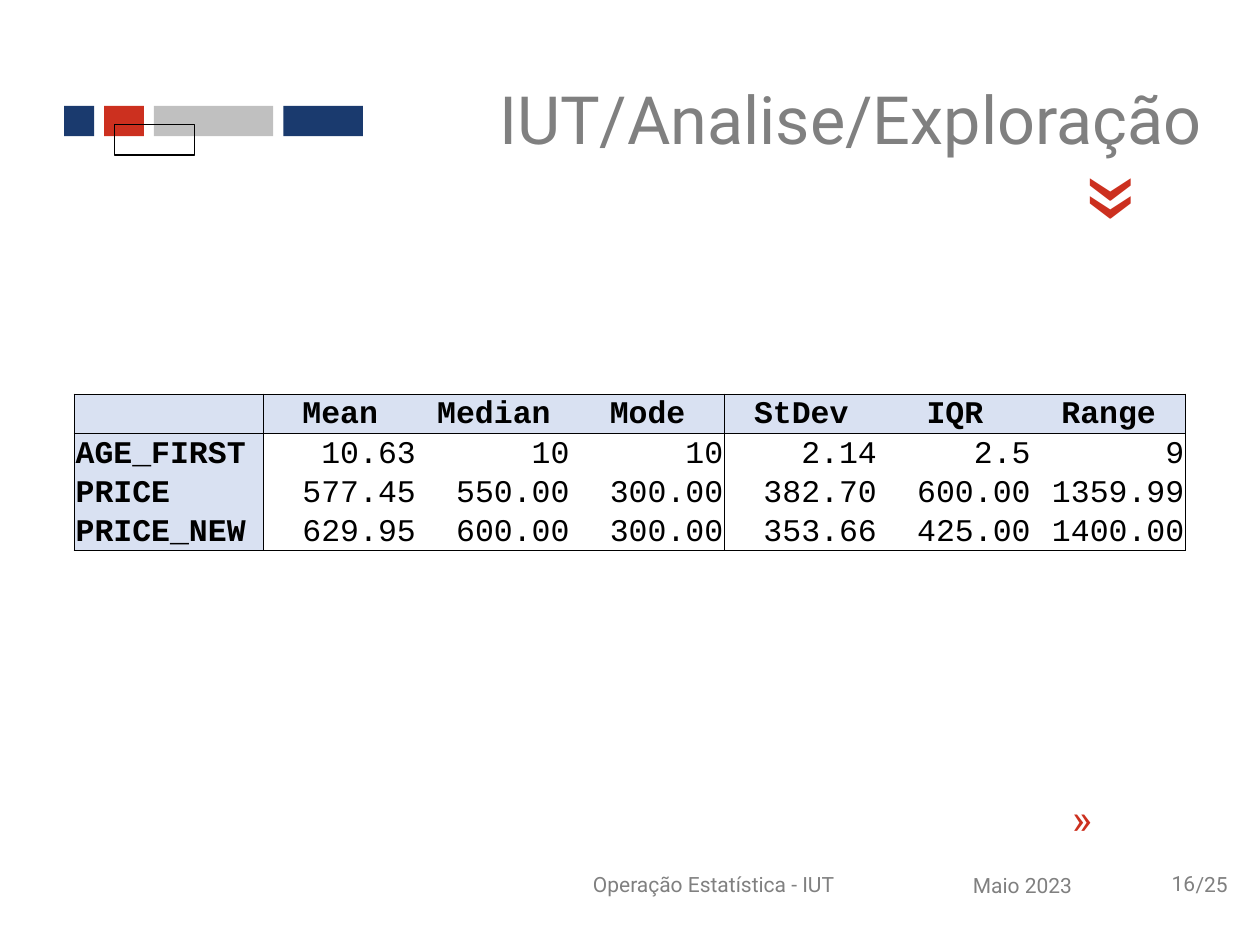
from itertools import product

from pptx import Presentation
from pptx.dml.color import RGBColor
from pptx.enum.shapes import MSO_SHAPE as Shape
from pptx.enum.text import MSO_ANCHOR as Anchor, PP_ALIGN as Align
from pptx.oxml.ns import qn
from pptx.util import Inches, Pt
from lxml.etree import SubElement

NAVY = RGBColor(0x1A, 0x3A, 0x6E)
RED = RGBColor(0xCC, 0x30, 0x1F)
SILVER = RGBColor(0xC0, 0xC0, 0xC0)
GRAY = RGBColor(0x80, 0x80, 0x80)
BLACK = RGBColor(0, 0, 0)
LAVENDER = RGBColor(0xD9, 0xE1, 0xF2)

GRID_COLUMNS, GRID_ROWS = 100, 75
BAR_UNIT = 0.79
BARS = [(3, NAVY), (4, RED), (12, SILVER), (8, NAVY)]

STATISTICS = [
    ["", "Mean", "Median", "Mode", "StDev", "IQR", "Range"],
    ["AGE_FIRST", "10.63", "10", "10", "2.14", "2.5", "9"],
    ["PRICE", "577.45", "550.00", "300.00", "382.70", "600.00", "1359.99"],
    ["PRICE_NEW", "629.95", "600.00", "300.00", "353.66", "425.00", "1400.00"],
]
COLUMN_WIDTHS = [15] + [12.2] * 6
ROW_HEIGHT = 3.1
VERTICAL_RULES = {0: 1, 1: 1, 4: 0.5, 7: 1}
HORIZONTAL_RULES = {0: 1, 1: 1, 4: 1}


def apply(target, values):
    """Set each named attribute on the target."""
    for name, value in values.items():
        setattr(target, name, value)


class SlideBuilder:
    """Hold the style and the slide, and add each kind of element."""

    body_font = "Roboto"
    table_font = "Courier New"
    cell_format = {
        "vertical_anchor": Anchor.BOTTOM,
        "margin_left": Inches(0.01),
        "margin_right": Inches(0.01),
        "margin_top": Inches(0.01),
        "margin_bottom": 0,
    }

    def __init__(self, presentation):
        self.column = presentation.slide_width / GRID_COLUMNS
        self.row = presentation.slide_height / GRID_ROWS
        self.slide = presentation.slides.add_slide(presentation.slide_layouts[6])

    def place(self, left, top, width, height):
        """Turn grid columns and rows into slide lengths."""
        return (int(left * self.column), int(top * self.row),
                int(width * self.column), int(height * self.row))

    def add_run(self, paragraph, text, align, color, **font_format):
        """Add one run with its font format."""
        paragraph.alignment = align
        run = paragraph.add_run()
        run.text = text
        apply(run.font, font_format)
        run.font.color.rgb = color

    def bar(self, box, color=None):
        """Add a filled bar, or an outlined one when it has no colour."""
        shape = self.slide.shapes.add_shape(Shape.RECTANGLE, *self.place(*box))
        shape.shadow.inherit = False
        if color is None:
            shape.fill.background()
            shape.line.color.rgb = BLACK
            shape.line.width = Pt(0.75)
        else:
            shape.fill.solid()
            shape.fill.fore_color.rgb = color
            shape.line.fill.background()

    def text(self, box, text, size=12, color=GRAY, align=Align.LEFT,
             anchor=Anchor.MIDDLE, rotation=0):
        """Add a text box."""
        shape = self.slide.shapes.add_textbox(*self.place(*box))
        shape.rotation = rotation
        apply(shape.text_frame, {"word_wrap": True, "vertical_anchor": anchor})
        self.add_run(shape.text_frame.paragraphs[0], text, align, color,
                     name=self.body_font, size=Pt(size))

    def border(self, cell, side, width):
        """Draw one cell border, or none when the width is missing."""
        properties = cell._tc.get_or_add_tcPr()
        line = SubElement(properties, qn(f"a:ln{side}"), w=str(Pt(width or 1)))
        if width is None:
            SubElement(line, qn("a:noFill"))
        else:
            fill = SubElement(line, qn("a:solidFill"))
            SubElement(fill, qn("a:srgbClr"), val=str(BLACK))

    def table(self, left, top, rows):
        """Add the table with header cells in the first row and column."""
        box = self.place(left, top, sum(COLUMN_WIDTHS), ROW_HEIGHT * len(rows))
        table = self.slide.shapes.add_table(len(rows), len(rows[0]), *box).table
        apply(table, {"first_row": False, "horz_banding": False})
        for column, width in zip(table.columns, COLUMN_WIDTHS):
            column.width = int(width * self.column)
        for i, j in product(range(len(rows)), range(len(rows[0]))):
            cell = table.cell(i, j)
            apply(cell, self.cell_format)
            self.border(cell, "L", VERTICAL_RULES.get(j))
            self.border(cell, "R", VERTICAL_RULES.get(j + 1))
            self.border(cell, "T", HORIZONTAL_RULES.get(i))
            self.border(cell, "B", HORIZONTAL_RULES.get(i + 1))
            is_header = i == 0 or j == 0
            if is_header:
                cell.fill.solid()
                cell.fill.fore_color.rgb = LAVENDER
            else:
                cell.fill.background()
            align = Align.CENTER if i == 0 else Align.LEFT if j == 0 else Align.RIGHT
            if rows[i][j]:
                self.add_run(cell.text_frame.paragraphs[0], rows[i][j], align, BLACK,
                             name=self.table_font, size=Pt(18), bold=is_header)


def main():
    """Build the statistics slide."""
    presentation = Presentation()
    apply(presentation, {"slide_width": Inches(10), "slide_height": Inches(7.5)})
    builder = SlideBuilder(presentation)

    left = 5.1
    for units, color in BARS:
        builder.bar((left, 8.4, units * BAR_UNIT, 2.4), color)
        left += (units + 1) * BAR_UNIT
    builder.bar((9.1, 9.9, 8 * BAR_UNIT, 2.4))

    builder.text((30.3, 4.7, 66.1, 9.3), "IUT/Analise/Exploração", 38, align=Align.RIGHT)
    builder.text((86.5, 10, 5.5, 11), "»", 60, RED, anchor=Anchor.TOP, rotation=90)
    builder.table(5.9, 31.3, STATISTICS)
    builder.text((84.1, 62.4, 5.1, 5), "»", 24, RED, anchor=Anchor.TOP)

    builder.text((41.3, 67.4, 30.7, 5.5), "Operação Estatística - IUT", align=Align.CENTER)
    builder.text((72, 67.5, 18.3, 5.5), "Maio 2023", align=Align.CENTER)
    builder.text((92, 68.6, 4.4, 3), "16")
    builder.text((93.9, 67.4, 6, 5.5), "/25")
    presentation.save("out.pptx")


if __name__ == "__main__":
    main()
